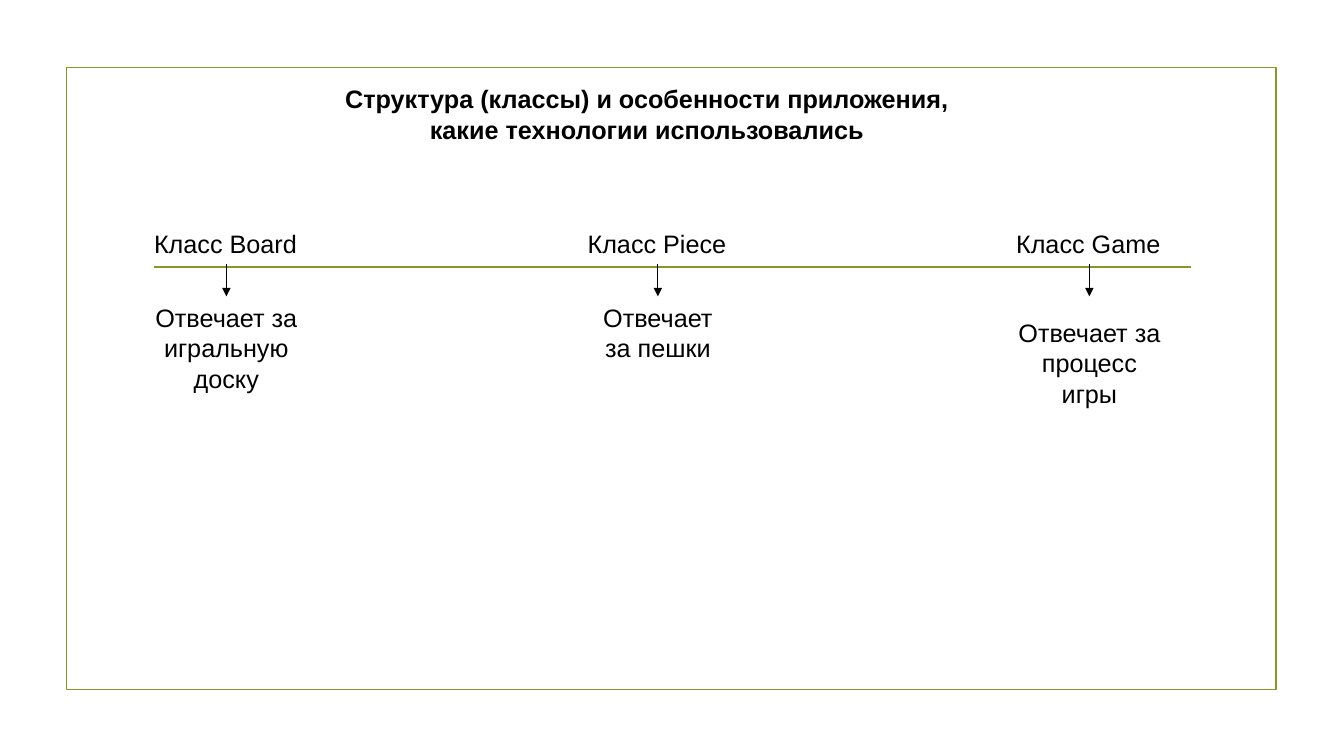
from dataclasses import dataclass

from lxml.etree import SubElement
from pptx import Presentation
from pptx.dml.color import RGBColor
from pptx.enum.shapes import MSO_CONNECTOR as Connector, MSO_SHAPE as Shape
from pptx.enum.text import MSO_ANCHOR as Anchor, MSO_AUTO_SIZE as AutoSize, PP_ALIGN as Align
from pptx.oxml.ns import qn
from pptx.util import Inches, Pt


@dataclass(frozen=True)
class Theme:
    font: str = "Arial"
    text_size: float = 18
    text_color: RGBColor = RGBColor(0x00, 0x00, 0x00)
    accent: RGBColor = RGBColor(0x83, 0x99, 0x2A)
    rule_width: float = 1.25
    arrow_width: float = 0.75


class SlideBuilder:
    def __init__(self, slide, theme):
        self.slide = slide
        self.theme = theme

    def frame(self, left, top, width, height):
        shape = self.slide.shapes.add_shape(
            Shape.RECTANGLE, Inches(left), Inches(top), Inches(width), Inches(height))
        shape.shadow.inherit = False
        shape.fill.background()
        shape.line.color.rgb = self.theme.accent
        shape.line.width = Pt(self.theme.rule_width)

    def line(self, start, end, color, width):
        connector = self.slide.shapes.add_connector(
            Connector.STRAIGHT, *(Inches(value) for value in start + end))
        connector.line.color.rgb = color
        connector.line.width = Pt(width)
        SubElement(connector._element.spPr, qn("a:effectLst"))
        return connector

    def rule(self, start, end):
        self.line(start, end, self.theme.accent, self.theme.rule_width)

    def arrow(self, start, end):
        connector = self.line(start, end, self.theme.text_color, self.theme.arrow_width)
        SubElement(connector.line._get_or_add_ln(), qn("a:tailEnd"), type="triangle")

    def set_text(self, shape, text, align, bold=False, wrap=True):
        text_frame = shape.text_frame
        text_frame.text = text
        text_frame.word_wrap = wrap
        text_frame.auto_size = AutoSize.SHAPE_TO_FIT_TEXT
        text_frame.vertical_anchor = Anchor.TOP
        paragraph = text_frame.paragraphs[0]
        paragraph.alignment = align
        for run in paragraph.runs:
            run.font.name = self.theme.font
            run.font.size = Pt(self.theme.text_size)
            run.font.color.rgb = self.theme.text_color
            run.font.bold = bold

    def title(self, text, left, top, width, height):
        shape = self.slide.shapes.title
        shape.left, shape.top = Inches(left), Inches(top)
        shape.width, shape.height = Inches(width), Inches(height)
        self.set_text(shape, text, Align.CENTER, bold=True)

    def text(self, text, left, top, width, height, align=Align.CENTER, wrap=True):
        shape = self.slide.shapes.add_textbox(
            Inches(left), Inches(top), Inches(width), Inches(height))
        self.set_text(shape, text, align, wrap=wrap)

    def class_column(self, name, duty, left, width, duty_top, duty_height):
        center = left + width / 2
        self.text(name, left, 2.22, width, 0.4, Align.LEFT, wrap=False)
        self.arrow((center, 2.62), (center, 2.94))
        self.text(duty, left, duty_top, width, duty_height)


def main():
    presentation = Presentation()
    presentation.slide_width = Inches(13.33)
    presentation.slide_height = Inches(7.5)
    slide = presentation.slides.add_slide(presentation.slide_layouts.get_by_name("Title Only"))
    builder = SlideBuilder(slide, Theme())

    builder.frame(0.66, 0.67, 12, 6.17)
    builder.rule((1.53, 2.65), (11.81, 2.65))
    builder.title("Структура (классы) и особенности приложения, какие технологии использовались",
                  3.07, 0.78, 6.69, 0.71)

    class_columns = [
        ("Класс Board", "Отвечает за игральную доску", 1.43, 1.63, 2.95, 1.01),
        ("Класс Piece", "Отвечает за пешки", 5.73, 1.59, 2.95, 0.71),
        ("Класс Game", "Отвечает за процесс игры", 9.98, 1.65, 3.1, 1.01),
    ]
    for column in class_columns:
        builder.class_column(*column)

    presentation.save("out.pptx")


if __name__ == "__main__":
    main()
